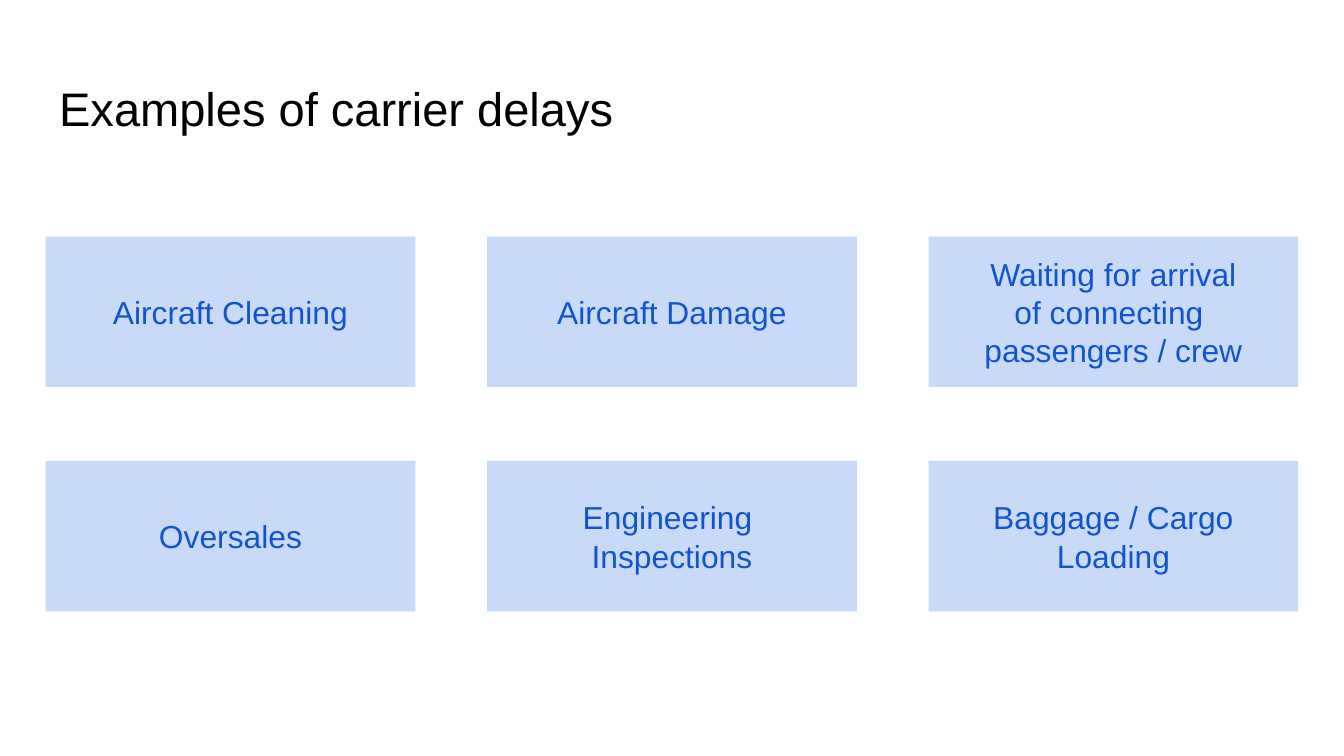
from pptx import Presentation
from pptx.dml.color import RGBColor
from pptx.enum.shapes import MSO_SHAPE
from pptx.enum.text import MSO_ANCHOR, PP_ALIGN
from pptx.util import Inches, Pt

BLACK = RGBColor(0x00, 0x00, 0x00)
PALE_BLUE = RGBColor(0xC9, 0xDA, 0xF8)
BLUE = RGBColor(0x11, 0x55, 0xCC)

# Grid: three columns and two rows, in inches, on a 16:9 page
PAGE_WIDTH = 10
PAGE_HEIGHT = PAGE_WIDTH * 9 / 16
MARGIN = 0.34
CONTENT_WIDTH = PAGE_WIDTH - 2 * MARGIN
CARD_WIDTH, CARD_HEIGHT = 2.75, 1.12
COLUMN_STEP = (CONTENT_WIDTH - CARD_WIDTH) / 2
FIRST_ROW, ROW_STEP = 1.76, 1.67

DELAYS = [
    ["Aircraft Cleaning", "Aircraft Damage",
     "Waiting for arrival\nof connecting \npassengers / crew"],
    ["Oversales", "Engineering \nInspections", "Baggage / Cargo Loading"],
]


def write(shape, text, size, color, align=PP_ALIGN.LEFT, anchor=MSO_ANCHOR.TOP):
    frame = shape.text_frame
    frame.text = text
    frame.word_wrap = True
    frame.vertical_anchor = anchor
    frame.margin_left = frame.margin_right = Inches(0.1)
    frame.margin_top = frame.margin_bottom = Inches(0.1)
    for paragraph in frame.paragraphs:
        paragraph.alignment = align
        for run in paragraph.runs:
            run.font.name = "Arial"
            run.font.size = Pt(size)
            run.font.color.rgb = color


deck = Presentation()
deck.slide_width, deck.slide_height = Inches(PAGE_WIDTH), Inches(PAGE_HEIGHT)
slide = deck.slides.add_slide(deck.slide_layouts[5])

# Heading
heading = slide.shapes.title
heading.left, heading.top = Inches(MARGIN), Inches(0.49)
heading.width, heading.height = Inches(CONTENT_WIDTH), Inches(0.63)
write(heading, "Examples of carrier delays", size=25.2, color=BLACK)

# Delay cards
for row, delays in enumerate(DELAYS):
    for column, delay in enumerate(delays):
        card = slide.shapes.add_shape(
            MSO_SHAPE.RECTANGLE,
            Inches(MARGIN + column * COLUMN_STEP),
            Inches(FIRST_ROW + row * ROW_STEP),
            Inches(CARD_WIDTH), Inches(CARD_HEIGHT))
        card.shadow.inherit = False
        card.fill.solid()
        card.fill.fore_color.rgb = PALE_BLUE
        card.line.fill.background()
        write(card, delay, size=17, color=BLUE,
              align=PP_ALIGN.CENTER, anchor=MSO_ANCHOR.MIDDLE)

deck.save("out.pptx")
